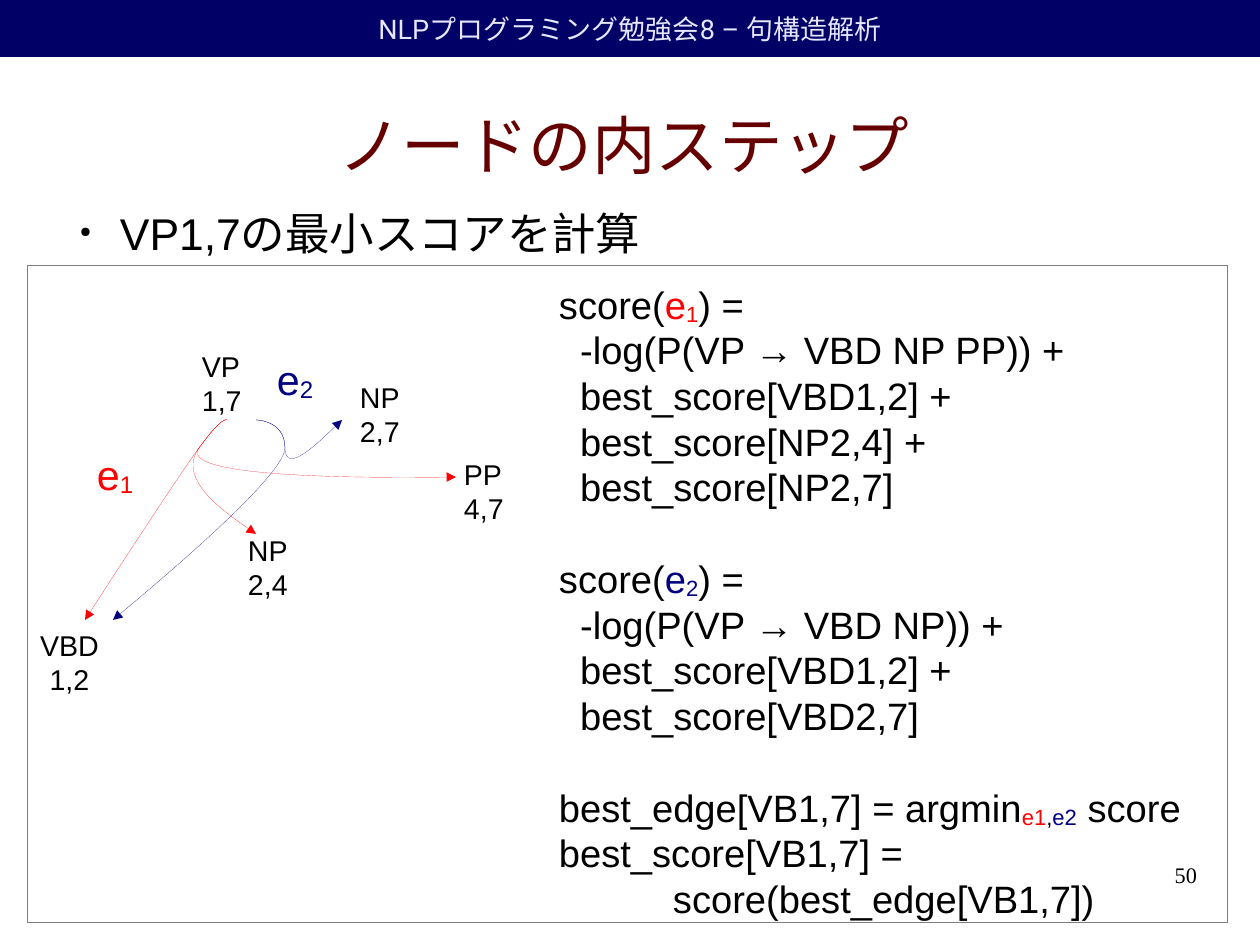
from lxml.etree import SubElement
from pptx import Presentation
from pptx.dml.color import RGBColor
from pptx.enum.shapes import MSO_SHAPE
from pptx.enum.text import MSO_ANCHOR, MSO_AUTO_SIZE, PP_ALIGN
from pptx.oxml.ns import qn
from pptx.util import Pt

PX = 8000
NAVY = RGBColor(0x00, 0x00, 0x66)
LAVENDER = RGBColor(0xE6, 0xE6, 0xFF)
MAROON = RGBColor(0x66, 0x00, 0x00)
BLACK = RGBColor(0x00, 0x00, 0x00)
RED = RGBColor(0xFF, 0x00, 0x00)
BLUE = RGBColor(0x00, 0x00, 0x80)
GREY = RGBColor(0x80, 0x80, 0x80)

NODES = [
    (0, 355, 81, "VBD\n1,2", PP_ALIGN.CENTER),
    (208, 260, 63, "NP\n2,4", PP_ALIGN.LEFT),
    (424, 184, 63, "PP\n4,7", PP_ALIGN.LEFT),
    (162, 76, 63, "VP\n1,7", PP_ALIGN.LEFT),
    (320, 107, 63, "NP\n2,7", PP_ALIGN.LEFT),
]
FIRST_STEM = [(198, 153), (198, 153), (194, 148), (170, 181), (146, 214)]
SECOND_STEM = [(227, 153), (227, 153), (256, 153), (256, 181), (256, 210)]
EDGES = [
    (SECOND_STEM, (84, 353), BLUE),
    (FIRST_STEM, (56, 353), RED),
    (FIRST_STEM, (227, 267), RED),
    (FIRST_STEM, (427, 210), RED),
    (SECOND_STEM, (313, 153), BLUE),
]
EDGE_LABELS = [(57, 176, "1", RED), (237, 81, "2", BLUE)]


def score_head(number, color):
    """Return the opening spans of one score formula."""
    return [("score(", BLACK, False), ("e", color, False),
            (number, color, True), (") =", BLACK, False)]


def plain(text):
    """Return a line that is a single black span."""
    return [(text, BLACK, False)]


FORMULAS = [
    [score_head("1", RED),
     plain("  -log(P(VP → VBD NP PP)) +"),
     plain("  best_score[VBD1,2] +"),
     plain("  best_score[NP2,4] +"),
     plain("  best_score[NP2,7]")],
    [score_head("2", BLUE),
     plain("  -log(P(VP → VBD NP)) +"),
     plain("  best_score[VBD1,2] +"),
     plain("  best_score[VBD2,7]")],
    [[("best_edge[VB1,7] = argmin", BLACK, False), ("e1", RED, True),
      (",", BLACK, True), ("e2", BLUE, True), (" score", BLACK, False)],
     plain("best_score[VB1,7] ="),
     plain("  \tscore(best_edge[VB1,7])")],
]


def scaled(*lengths):
    """Turn px lengths into EMU."""
    return [length * PX for length in lengths]


def set_font(font, size, color, name="Arial"):
    """Give a font its face, size and colour."""
    font.name, font.size, font.bold = name, Pt(size), False
    font.color.rgb = color


def set_frame(frame, inset=(0, 0), wrap=True, anchor=MSO_ANCHOR.TOP):
    """Set insets, wrapping and anchoring of a text frame."""
    frame.auto_size = MSO_AUTO_SIZE.NONE
    frame.word_wrap = wrap
    frame.vertical_anchor = anchor
    frame.margin_left = frame.margin_right = inset[0] * PX
    frame.margin_top = frame.margin_bottom = inset[1] * PX


def set_hairline(shape, color):
    """Leave a shape unfilled with the thinnest outline and return the line."""
    shape.shadow.inherit = False
    shape.fill.background()
    shape.line.color.rgb = color
    outline = shape.line._get_or_add_ln()
    outline.set("w", "0")
    return outline


def add_text(page, box, text, size, color, name="Arial",
             align=PP_ALIGN.LEFT, **frame_options):
    """Add a text box whose paragraphs share one style."""
    frame = page.shapes.add_textbox(*scaled(*box)).text_frame
    set_frame(frame, **frame_options)
    frame.text = text
    for para in frame.paragraphs:
        para.alignment = align
        for span in para.runs:
            set_font(span.font, size, color, name)
    return frame


def write_spans(para, spans, size):
    """Fill a paragraph with coloured spans, some of them subscripts."""
    for text, color, subscript in spans:
        span = para.add_run()
        span.text = text
        set_font(span.font, size, color)
        if subscript:
            span.font._element.set("baseline", "-8000")


def add_header(page, box):
    """Draw the dark band with the course name."""
    band = page.shapes.add_shape(MSO_SHAPE.RECTANGLE, *scaled(*box))
    band.shadow.inherit = False
    band.fill.solid()
    band.fill.fore_color.rgb = NAVY
    band.line.fill.background()
    set_frame(band.text_frame, inset=(11, 6), anchor=MSO_ANCHOR.MIDDLE)
    band.text_frame.text = "NLPプログラミング勉強会8 – 句構造解析"
    para = band.text_frame.paragraphs[0]
    para.alignment = PP_ALIGN.CENTER
    set_font(para.runs[0].font, 17, LAVENDER, "Roboto")


def add_title(page, box):
    """Place and style the title placeholder."""
    title = page.shapes.title
    title.left, title.top, title.width, title.height = scaled(*box)
    set_frame(title.text_frame, anchor=MSO_ANCHOR.MIDDLE)
    title.text_frame.text = "ノードの内ステップ"
    para = title.text_frame.paragraphs[0]
    para.alignment = PP_ALIGN.CENTER
    set_font(para.runs[0].font, 40, MAROON)


def add_goal(page, box):
    """Write the bulleted goal line."""
    frame = add_text(page, box, "VP1,7の最小スコアを計算", 28, BLACK)
    properties = frame.paragraphs[0]._p.get_or_add_pPr()
    properties.set("marL", str(54 * PX))
    properties.set("indent", str(-40 * PX))
    SubElement(properties, qn("a:buSzPct")).set("val", "32000")
    SubElement(properties, qn("a:buChar")).set("char", "●")


def bend_segments(shape, knots):
    """Turn the straight segments of a freeform into cubic curves."""
    for index, segment in enumerate(list(shape._element.iter(qn("a:lnTo")))):
        curve = SubElement(segment.getparent(), qn("a:cubicBezTo"))
        for x, y in knots[3 * index + 1:3 * index + 4]:
            point = SubElement(curve, qn("a:pt"))
            point.set("x", str(x - shape.left))
            point.set("y", str(y - shape.top))
        segment.getparent().remove(segment)


def add_edge(page, left, top, stem, target, color):
    """Draw one curved branch that ends in an arrowhead."""
    knots = [((left + x) * PX, (top + y) * PX)
             for x, y in stem + [target, target]]
    builder = page.shapes.build_freeform(*knots[0])
    builder.add_line_segments(knots[3::3], close=False)
    edge = builder.convert_to_shape()
    bend_segments(edge, knots)
    outline = set_hairline(edge, color)
    SubElement(outline, qn("a:tailEnd")).set("type", "triangle")


def add_hypergraph(page, box):
    """Draw the parse nodes, their edges and the edge labels."""
    left, top = box[:2]
    for x, y, width, text, align in NODES:
        frame = add_text(page, (left + x, top + y, width, 75), text, 18, BLACK,
                         align=align, inset=(11, 6), wrap=False)
        for para in frame.paragraphs:
            para.line_spacing = Pt(21.6)
    for stem, target, color in EDGES:
        add_edge(page, left, top, stem, target, color)
    for x, y, number, color in EDGE_LABELS:
        frame = add_text(page, (left + x, top + y, 59, 71), "", 26, color,
                         inset=(11, 6), wrap=False)
        write_spans(frame.paragraphs[0],
                    [("e", color, False), (number, color, True)], 26)


def add_formulas(page, box):
    """Write the score formulas in spaced groups."""
    frame = page.shapes.add_textbox(*scaled(*box)).text_frame
    set_frame(frame, inset=(11, 6), wrap=False)
    pitch = Pt(28.8)
    for group_index, group in enumerate(FORMULAS):
        for line_index, spans in enumerate(group):
            is_first = group_index == line_index == 0
            para = frame.paragraphs[0] if is_first else frame.add_paragraph()
            para.line_spacing = pitch
            if group_index and not line_index:
                para.space_before = pitch
            if "\t" in spans[0][0]:
                stops = SubElement(para._p.get_or_add_pPr(), qn("a:tabLst"))
                stop = SubElement(stops, qn("a:tab"))
                stop.set("pos", str(114 * PX))
                stop.set("algn", "l")
            write_spans(para, spans, 24)


def add_border(page, box):
    """Draw the thin frame around graph and formulas."""
    border = page.shapes.add_shape(MSO_SHAPE.RECTANGLE, *scaled(*box))
    set_hairline(border, GREY)


def main():
    """Build the deck and save it."""
    deck = Presentation()
    deck.slide_width, deck.slide_height = scaled(1260, 945)
    page = deck.slides.add_slide(deck.slide_layouts[5])
    add_header(page, (0, 0, 1260, 57))
    add_title(page, (57, 72, 1134, 145))
    add_goal(page, (66, 206, 1134, 64))
    add_hypergraph(page, (29, 267, 500, 440))
    add_formulas(page, (548, 275, 645, 643))
    add_border(page, (28, 266, 1200, 657))
    add_text(page, (903, 861, 294, 65), "50", 14, BLACK, "Times New Roman",
             align=PP_ALIGN.RIGHT)
    deck.save("out.pptx")


if __name__ == "__main__":
    main()
